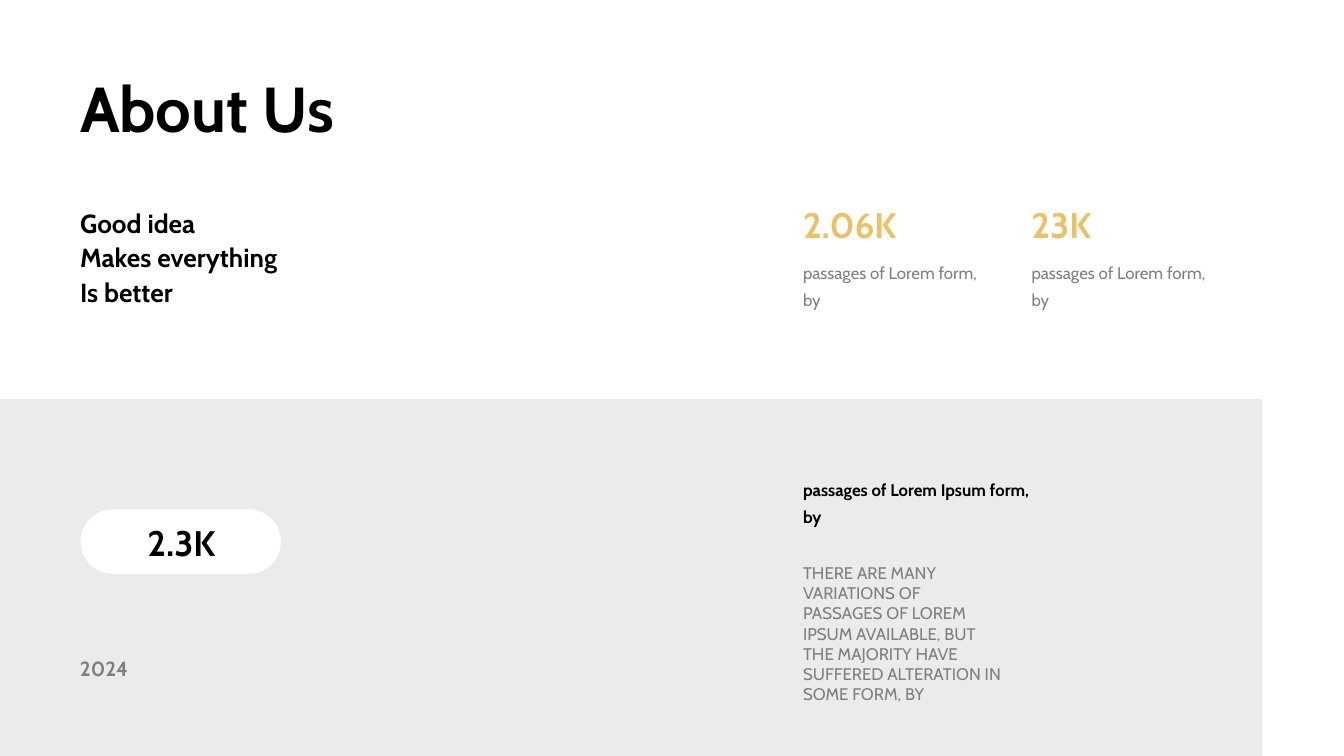
from lxml.etree import SubElement
from pptx import Presentation
from pptx.dml.color import RGBColor
from pptx.enum.shapes import MSO_SHAPE
from pptx.enum.text import MSO_ANCHOR, MSO_AUTO_SIZE, PP_ALIGN
from pptx.oxml.ns import qn
from pptx.util import Inches, Pt

BLACK = RGBColor(0x00, 0x00, 0x00)
WHITE = RGBColor(0xFF, 0xFF, 0xFF)
GREY = RGBColor(0x7F, 0x7F, 0x7F)
GOLD = RGBColor(0xEA, 0xC1, 0x67)
PANEL = RGBColor(0xE4, 0xE2, 0xE3)
FONT = "Cabin"
LEFT_COLUMN = 0.52
RIGHT_COLUMN = 5.9


def place(shape, left, top, width, height):
    shape.left, shape.top = Inches(left), Inches(top)
    shape.width, shape.height = Inches(width), Inches(height)


def write(shape, text, size, color=BLACK, bold=True, align=PP_ALIGN.LEFT, spacing=1.0):
    """Fill a shape with text, one paragraph per line."""
    frame = shape.text_frame
    frame.word_wrap = True
    frame.auto_size = MSO_AUTO_SIZE.NONE
    frame.vertical_anchor = MSO_ANCHOR.TOP
    frame.margin_left = frame.margin_right = Pt(5.4)
    frame.margin_top = frame.margin_bottom = Pt(2.7)
    frame.text = text
    for para in frame.paragraphs:
        para.alignment = align
        para.line_spacing = spacing
        para.space_before = Pt(0)
        for span in para.runs:
            span.font.name = FONT
            span.font.size = Pt(size)
            span.font.bold = bold
            span.font.color.rgb = color


def add_text(page, box, text, size, **style):
    label = page.shapes.add_textbox(*map(Inches, box))
    write(label, text, size, **style)


def add_block(page, kind, box, color, opacity=100):
    block = page.shapes.add_shape(kind, *map(Inches, box))
    block.shadow.inherit = False
    block.fill.solid()
    block.fill.fore_color.rgb = color
    block.line.fill.background()
    if opacity < 100:
        tint = block.fill._xPr.find(".//" + qn("a:srgbClr"))
        SubElement(tint, qn("a:alpha"), val=str(opacity * 1000))
    return block


def add_heading(page, left, top):
    title = page.shapes.title
    place(title, left, top, 6.83, 0.65)
    write(title, "About Us", 34)
    add_text(page, (left, top + 1, 2.35, 0.83),
             "Good idea\nMakes everything\nIs better", 14, spacing=1.1)


def add_statistic(page, left, top, figure):
    add_text(page, (left, top, 1.26, 0.39), figure, 19, color=GOLD)
    add_text(page, (left, top + 0.4, 1.45, 0.41), "passages of Lorem form, by", 9,
             color=GREY, bold=False, spacing=1.33)


def add_pill(page, left, top, width, height, figure):
    pill = add_block(page, MSO_SHAPE.ROUNDED_RECTANGLE, (left, top, width, height), WHITE)
    pill.adjustments[0] = 0.5
    add_text(page, (left + 0.12, top + 0.05, 1.26, 0.39), figure, 19, align=PP_ALIGN.CENTER)


def add_lower_panel(page, left, top, width, height):
    add_block(page, MSO_SHAPE.RECTANGLE, (left, top, width, height), PANEL, opacity=68)
    # Key figure and year
    add_pill(page, left + 0.6, top + 0.82, 1.49, 0.48, "2.3K")
    add_text(page, (left + LEFT_COLUMN, top + 1.87, 2.37, 0.25), "2024", 11, color=GREY)
    # Subheading and description
    add_text(page, (left + RIGHT_COLUMN, top + 0.51, 1.92, 0.41),
             "passages of Lorem Ipsum form, by", 9, spacing=1.33)
    add_text(page, (left + RIGHT_COLUMN, top + 1.18, 1.64, 1.14),
             "THERE ARE MANY VARIATIONS OF PASSAGES OF LOREM IPSUM AVAILABLE, "
             "BUT THE MAJORITY HAVE SUFFERED ALTERATION IN SOME FORM, BY",
             9, color=GREY, bold=False)


def main():
    deck = Presentation()
    # Widescreen, 16 to 9
    deck.slide_width = Inches(10)
    deck.slide_height = deck.slide_width * 9 // 16
    page = deck.slides.add_slide(deck.slide_layouts[5])
    add_lower_panel(page, 0, 2.97, 9.39, 2.66)
    add_heading(page, LEFT_COLUMN, 0.48)
    for index, figure in enumerate(("2.06K", "23K")):
        add_statistic(page, RIGHT_COLUMN + index * 1.7, 1.47, figure)
    deck.save("out.pptx")


if __name__ == "__main__":
    main()
